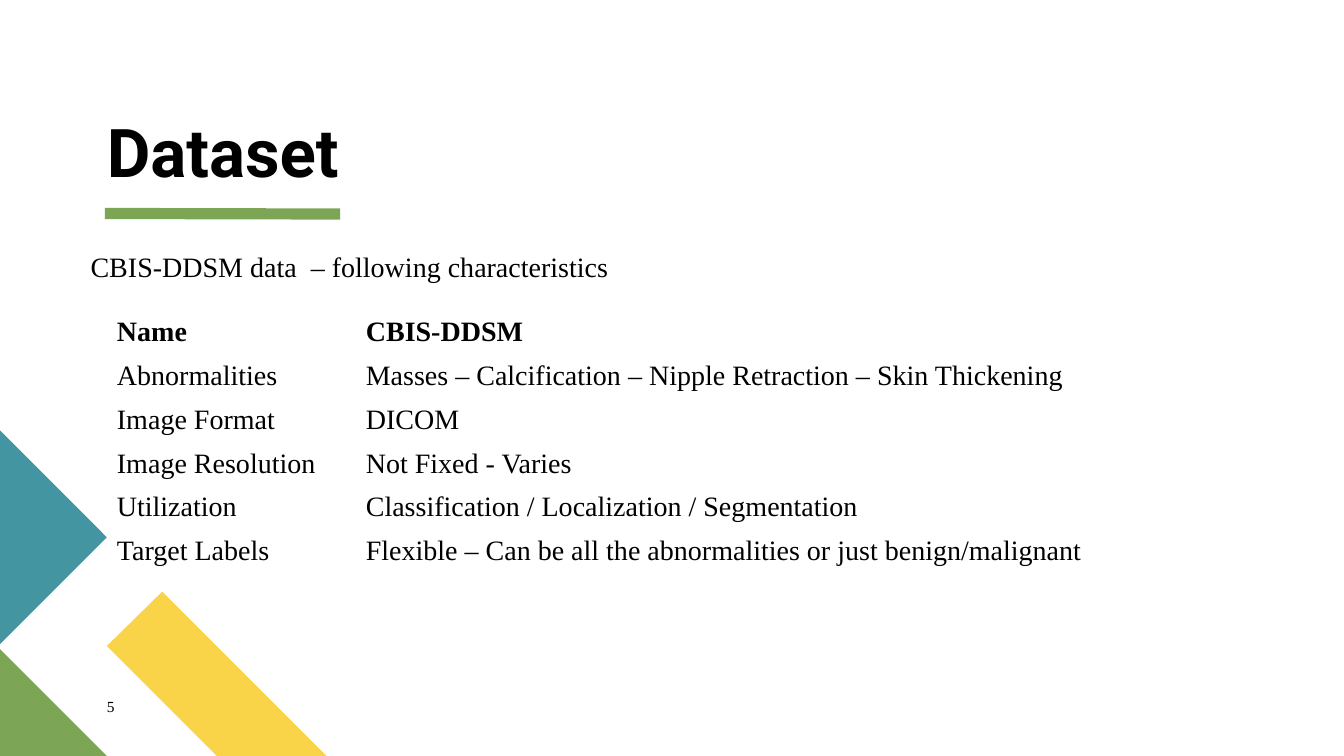
from lxml.etree import SubElement
from pptx import Presentation
from pptx.dml.color import RGBColor
from pptx.enum.shapes import MSO_CONNECTOR
from pptx.enum.text import MSO_ANCHOR, PP_ALIGN
from pptx.oxml.ns import qn
from pptx.util import Pt

BLACK = RGBColor(0x00, 0x00, 0x00)
GREEN = RGBColor(0x7C, 0xA6, 0x55)
TEAL = RGBColor(0x44, 0x95, 0xA2)
GOLD = RGBColor(0xF9, 0xD4, 0x48)
PLAIN = "{2D5ABB26-0587-4C30-8999-92F81FD0307C}"  # table style without grid

ROWS = [
    ("Name", "CBIS-DDSM"),
    ("Abnormalities",
     "Masses – Calcification – Nipple Retraction – Skin Thickening"),
    ("Image Format", "DICOM"),
    ("Image Resolution", "Not Fixed - Varies"),
    ("Utilization", "Classification / Localization / Segmentation"),
    ("Target Labels",
     "Flexible – Can be all the abnormalities or just benign/malignant"),
]


def write(frame, text, size=20, font="Times New Roman", bold=False,
          align=PP_ALIGN.LEFT, space=1.0):
    para = frame.paragraphs[0]
    para.alignment = align
    para.line_spacing = space
    run = para.add_run()
    run.text = text
    run.font.name = font
    run.font.size = Pt(size)
    run.font.bold = bold
    run.font.color.rgb = BLACK


class Deck:
    """Holds the current slide and the shared style."""

    def __init__(self, slide):
        self.shapes = slide.shapes
        self.pad = (7.2, 3.6)

    def shape(self, points, color):
        dots = [(Pt(x), Pt(y)) for x, y in points]
        form = self.shapes.build_freeform(*dots[0])
        form.add_line_segments(dots[1:], close=True)
        part = form.convert_to_shape()
        part.shadow.inherit = False
        part.fill.solid()
        part.fill.fore_color.rgb = color
        part.line.fill.background()

    def line(self, start, end, color, width):
        rule = self.shapes.add_connector(
            MSO_CONNECTOR.STRAIGHT, *map(Pt, start + end))
        rule.line.color.rgb = color
        rule.line.width = Pt(width)
        SubElement(rule._element.spPr, qn("a:effectLst"))

    def text(self, box, text, pad=(0, 0), anchor=MSO_ANCHOR.TOP, **style):
        frame = self.shapes.add_textbox(*map(Pt, box)).text_frame
        frame.word_wrap = True
        frame.vertical_anchor = anchor
        frame.margin_left = frame.margin_right = Pt(pad[0])
        frame.margin_top = frame.margin_bottom = Pt(pad[1])
        write(frame, text, **style)

    def table(self, left, top, widths, height, rows):
        table = self.shapes.add_table(
            len(rows), len(widths), Pt(left), Pt(top),
            Pt(sum(widths)), Pt(height * len(rows))).table
        table.first_row = table.horz_banding = False
        table._tbl.tblPr.find(qn("a:tableStyleId")).text = PLAIN
        for col, width in zip(table.columns, widths):
            col.width = Pt(width)
        for i, row in enumerate(rows):
            table.rows[i].height = Pt(height)
            for j, text in enumerate(row):
                cell = table.cell(i, j)
                cell.fill.background()
                write(cell.text_frame, text, bold=i == 0)


def main():
    prs = Presentation()
    prs.slide_width, prs.slide_height = Pt(960), Pt(540)
    deck = Deck(prs.slides.add_slide(prs.slide_layouts[6]))

    # Corner art
    deck.shape([(233.3, 540), (154.8, 540), (76.3, 461.5), (115.9, 422.6)],
               GOLD)
    deck.shape([(76.3, 540), (0, 540), (0, 463.7)], GREEN)
    deck.shape([(0, 307.4), (76.3, 383.8), (0, 460.1)], TEAL)

    # Title and its rule
    deck.line((75, 152.5), (243, 152.9), GREEN, 8)
    deck.text((76.3, 89.3, 549.4, 48.2), "Dataset", size=48, font="Roboto",
              bold=True, anchor=MSO_ANCHOR.BOTTOM, space=0.9)

    # Page number
    deck.text((76.3, 498.2, 41, 19.4), "5", size=11)

    # Lead line and table
    deck.text((57.6, 175, 737.3, 31.7),
              "CBIS-DDSM data  – following characteristics",
              pad=deck.pad, align=PP_ALIGN.JUSTIFY)
    deck.table(76.3, 222.5, (177.8, 600.5), 31.3, ROWS)

    prs.save("out.pptx")


if __name__ == "__main__":
    main()
